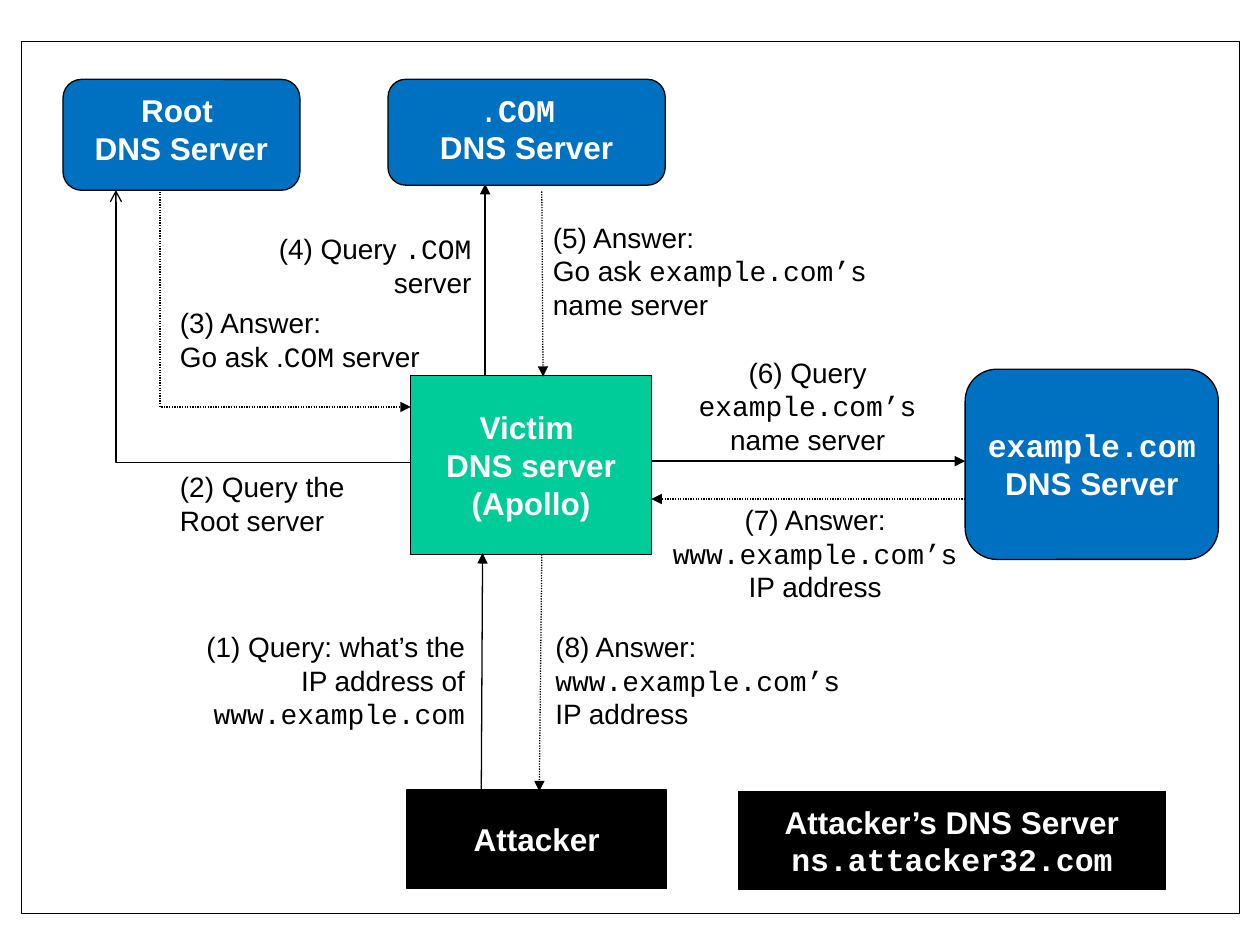
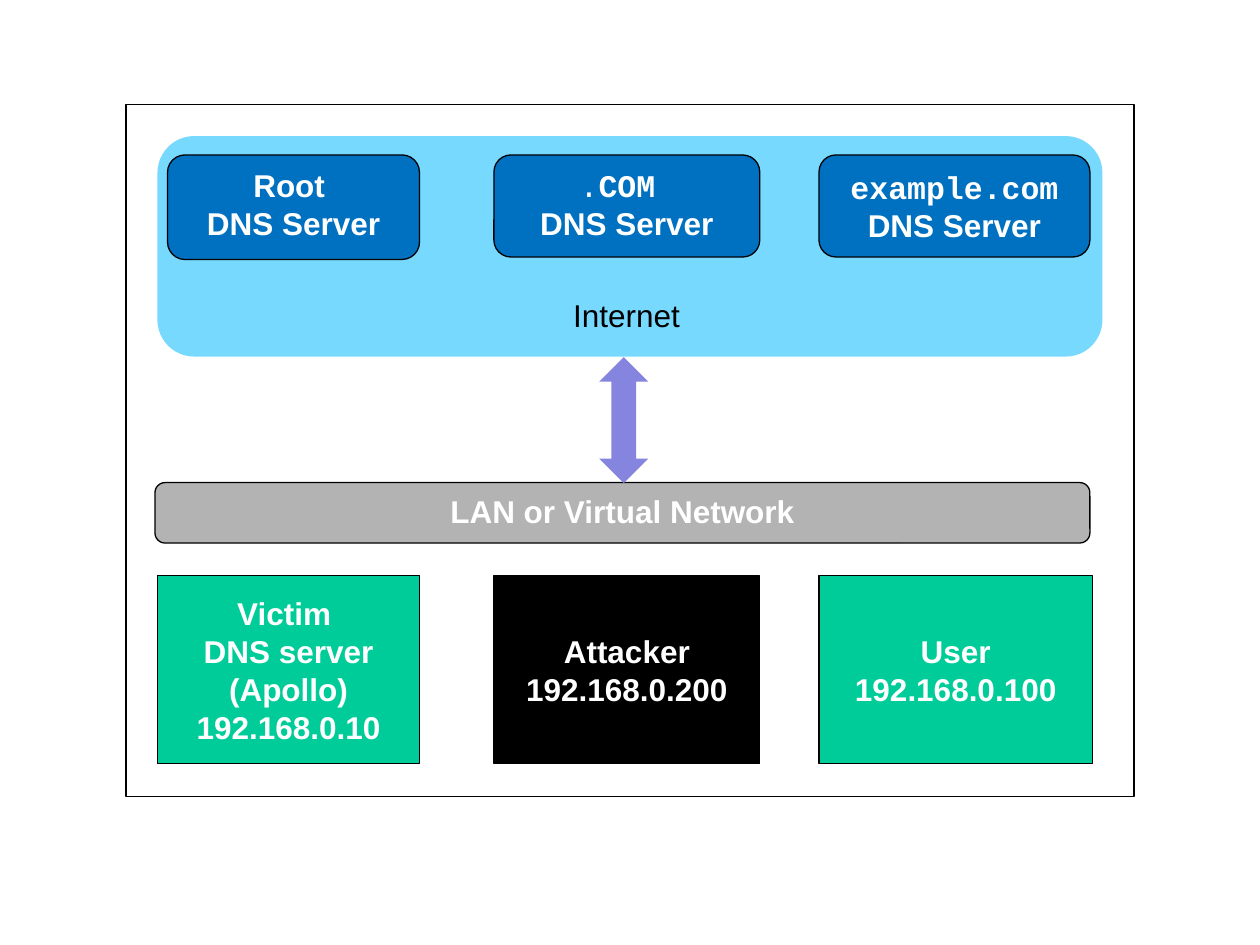
"""Builds two diagrams of a DNS attack: the query sequence and the lab network."""
from dataclasses import dataclass

from lxml import etree
from pptx import Presentation
from pptx import util as u
from pptx.dml.color import RGBColor
from pptx.enum import dml, shapes, text
from pptx.oxml.ns import qn

LEFT, CENTER, RIGHT = text.PP_ALIGN.LEFT, text.PP_ALIGN.CENTER, text.PP_ALIGN.RIGHT
TOP, MIDDLE = text.MSO_ANCHOR.TOP, text.MSO_ANCHOR.MIDDLE
RECT = shapes.MSO_SHAPE.RECTANGLE
ROUNDED = shapes.MSO_SHAPE.ROUNDED_RECTANGLE
COLUMNS, ROWS = 100, 75
ROOT = ["Root ", "DNS Server"]
COM = ["`.``COM `", "DNS Server"]
EXAMPLE = ["`example.com`", "DNS Server"]
VICTIM = ["Victim ", "DNS server", "(Apollo)"]


@dataclass(frozen=True)
class Theme:
    """Colours, fonts and sizes shared by both slides."""
    ink: str = "000000"
    paper: str = "FFFFFF"
    server: str = "0070C0"
    host: str = "00CC99"
    cloud: str = "00B8FF"
    network: str = "B3B3B3"
    link: str = "8585E0"
    body: str = "Arial"
    code: str = "Courier New"
    node_size: int = 18
    note_size: int = 16
    line: float = 0.75


class Diagram:
    """Draws styled elements on the current slide, placed by grid columns and rows."""

    def __init__(self, deck, theme):
        """Keep the deck, its style and the size of a grid cell."""
        self.deck, self.theme = deck, theme
        self.column = deck.slide_width / COLUMNS
        self.row = deck.slide_height / ROWS
        self.page = None

    def new_page(self):
        """Start a blank slide."""
        self.page = self.deck.slides.add_slide(self.deck.slide_layouts[6])

    def place(self, *cells):
        """Turn alternating columns and rows into lengths."""
        return [u.Emu(round(cell * (self.row if index % 2 else self.column)))
                for index, cell in enumerate(cells)]

    def shape(self, kind, cells, fill=None, outlined=True):
        """Add a preset shape without shadow."""
        box = self.page.shapes.add_shape(kind, *self.place(*cells))
        box.shadow.inherit = False
        if fill:
            box.fill.solid()
            box.fill.fore_color.rgb = RGBColor.from_string(fill)
        else:
            box.fill.background()
        if outlined:
            self.stroke(box.line)
        else:
            box.line.fill.background()
        return box

    def stroke(self, line):
        """Give a line the common colour and width."""
        line.color.rgb = RGBColor.from_string(self.theme.ink)
        line.width = u.Pt(self.theme.line)

    def label(self, box, lines, size, color, bold=False, align=CENTER):
        """Fill a box with paragraphs; backticks mark code."""
        frame = box.text_frame
        for index, line in enumerate(lines):
            para = frame.add_paragraph() if index else frame.paragraphs[0]
            para.alignment = align
            para.font.size, para.font.bold = u.Pt(size), bold
            para.font.color.rgb = RGBColor.from_string(color)
            parts = [(part, self.theme.code if place % 2 else self.theme.body)
                     for place, part in enumerate(line.split("`")) if part]
            agreed = len({font for _, font in parts}) == 1
            if agreed:
                para.font.name = parts[0][1]
            for part, font in parts:
                span = para.add_run()
                span.text = part
                if not agreed:
                    span.font.name = font

    def node(self, kind, cells, fill, lines, anchor=MIDDLE):
        """Add a filled box with a bold white label."""
        box = self.shape(kind, cells, fill)
        box.text_frame.word_wrap = kind == ROUNDED
        box.text_frame.vertical_anchor = anchor
        self.label(box, lines, self.theme.node_size, self.theme.paper, bold=True)
        return box

    def server(self, cells, lines, anchor=TOP):
        """Add a rounded DNS server; a lone leading dot stays regular."""
        box = self.node(ROUNDED, cells, self.theme.server, lines, anchor)
        first = box.text_frame.paragraphs[0].runs[0]
        if first.text == ".":
            first.font.bold = False

    def note(self, cells, lines, align=LEFT, size=None):
        """Add a wrapping text box."""
        box = self.page.shapes.add_textbox(*self.place(*cells))
        box.text_frame.word_wrap = True
        box.text_frame.auto_size = text.MSO_AUTO_SIZE.SHAPE_TO_FIT_TEXT
        self.label(box, lines, size or self.theme.note_size, self.theme.ink, align=align)

    def arrow(self, cells, dotted=False, head="triangle",
              kind=shapes.MSO_CONNECTOR.STRAIGHT):
        """Add a connector with an arrowhead at its end."""
        link = self.page.shapes.add_connector(kind, *self.place(*cells))
        self.stroke(link.line)
        if dotted:
            link.line.dash_style = dml.MSO_LINE.ROUND_DOT
        properties = link._element.spPr
        etree.SubElement(properties.find(qn("a:ln")), qn("a:tailEnd"), type=head)
        etree.SubElement(properties, qn("a:effectLst"))
        return link

    def elbow(self, cells, bend, upright=False, **style):
        """Add a bent arrow; an upright one leaves and arrives vertically."""
        if upright:
            left, top, right, bottom = cells
            x, y = (left + right) / 2, (top + bottom) / 2
            cells = (x - top + y, y + left - x, x - bottom + y, y + right - x)
        link = self.arrow(cells, kind=shapes.MSO_CONNECTOR.ELBOW, **style)
        properties = link._element.spPr
        if upright:
            properties.find(qn("a:xfrm")).set("rot", str(270 * 60000))
        geometry = properties.find(qn("a:prstGeom"))
        guides = geometry.find(qn("a:avLst"))
        if guides is None:
            guides = etree.SubElement(geometry, qn("a:avLst"))
        etree.SubElement(guides, qn("a:gd"), name="adj1", fmla=f"val {round(bend * 100000)}")


def draw_query_sequence(diagram):
    """Draw the eight steps from the attacker's query to the answer."""
    theme = diagram.theme
    diagram.new_page()
    diagram.node(RECT, (32.6, 29.8, 19.1, 14.2), theme.host, VICTIM)
    diagram.node(RECT, (58.6, 62.8, 33.9, 7.8), theme.ink,
                 ["Attacker’s DNS Server", "`ns.attacker32.com`"])
    diagram.node(RECT, (32.3, 62.7, 20.6, 7.8), theme.ink, ["Attacker"])

    diagram.elbow((12.7, 15, 32.6, 32.3), 0, dotted=True)
    queries = [(38.5, 29.8, 38.5, 14.6), (51.7, 36.6, 76.6, 36.6), (38.2, 62.8, 38.3, 43.9)]
    answers = [(43, 15.2, 43.1, 29.9), (76.6, 39.6, 51.7, 39.6), (43, 44, 42.8, 62.8)]
    for dotted, steps in ((False, queries), (True, answers)):
        for cells in steps:
            diagram.arrow(cells, dotted)

    diagram.note((13.3, 23.8, 23.5, 6.4), ["(3) Answer:", "Go ask .`COM` server"])
    diagram.note((19.9, 17.9, 18.5, 6.4), ["(4) Query `.COM `server"], RIGHT)
    diagram.note((13.3, 36.8, 16.8, 6.4), ["(2) Query the Root server"])
    diagram.note((42.9, 17, 30.2, 9), ["(5) Answer:", "Go ask `example.com’s` name server"])
    diagram.note((52.1, 39.4, 25.2, 9),
                 ["(7) Answer: `www.example.com’s`", "IP address"], CENTER)
    diagram.note((53.6, 27.7, 21, 9), ["(6) Query `example.com’s` name server"], CENTER)
    diagram.note((13.3, 49.5, 24.6, 9),
                 ["(1) Query: what’s the IP address of `www.example.com`"], RIGHT)
    diagram.note((43.1, 49.5, 27.4, 9), ["(8) Answer: `www.example.com’s`", "IP address"])

    diagram.shape(RECT, (1.7, 3.3, 96.7, 69.2))
    diagram.server((30.8, 6.3, 22, 8.4), COM)
    diagram.server((5, 6.3, 18.8, 8.8), ROOT)
    diagram.server((76.6, 29.3, 20.1, 15.1), EXAMPLE, MIDDLE)
    diagram.elbow((32.6, 39.4, 9.2, 15.1), 0.11, upright=True, head="arrow")


def draw_lab_network(diagram):
    """Draw the lab machines, their network and the Internet servers."""
    theme = diagram.theme
    diagram.new_page()
    cloud = diagram.shape(ROUNDED, (12.5, 10.8, 75, 17.5), theme.cloud, outlined=False)
    tint = cloud._element.spPr.find(qn("a:solidFill"))[0]
    etree.SubElement(tint, qn("a:alpha"), val="53000")

    machines = [
        (12.5, 20.8, theme.host, VICTIM + ["192.168.0.10"]),
        (39.2, 21.1, theme.ink, ["Attacker", "192.168.0.200"]),
        (65, 21.7, theme.host, ["User", "192.168.0.100"]),
    ]
    for left, width, fill, lines in machines:
        diagram.node(RECT, (left, 45.7, width, 14.9), fill, lines)

    diagram.shape(RECT, (10, 8.3, 80, 54.9))
    servers = [
        (13.3, 20, 8.3, ROOT, TOP),
        (39.2, 21.1, 8.1, COM, TOP),
        (65, 21.5, 8.1, EXAMPLE, MIDDLE),
    ]
    for left, width, height, lines, anchor in servers:
        diagram.server((left, 12.3, width, height), lines, anchor)

    diagram.node(ROUNDED, (12.3, 38.3, 74.2, 4.8), theme.network,
                 ["LAN or Virtual Network"], TOP)
    diagram.note((44.5, 23, 15.3, 4), ["Internet"], size=theme.node_size)
    diagram.shape(shapes.MSO_SHAPE.UP_DOWN_ARROW, (47.55, 28.35, 3.9, 10),
                  theme.link, outlined=False)


def main():
    """Build and save the deck."""
    deck = Presentation()
    deck.slide_width, deck.slide_height = u.Inches(10), u.Inches(7.5)
    diagram = Diagram(deck, Theme())
    draw_query_sequence(diagram)
    draw_lab_network(diagram)
    deck.save("out.pptx")


if __name__ == "__main__":
    main()
